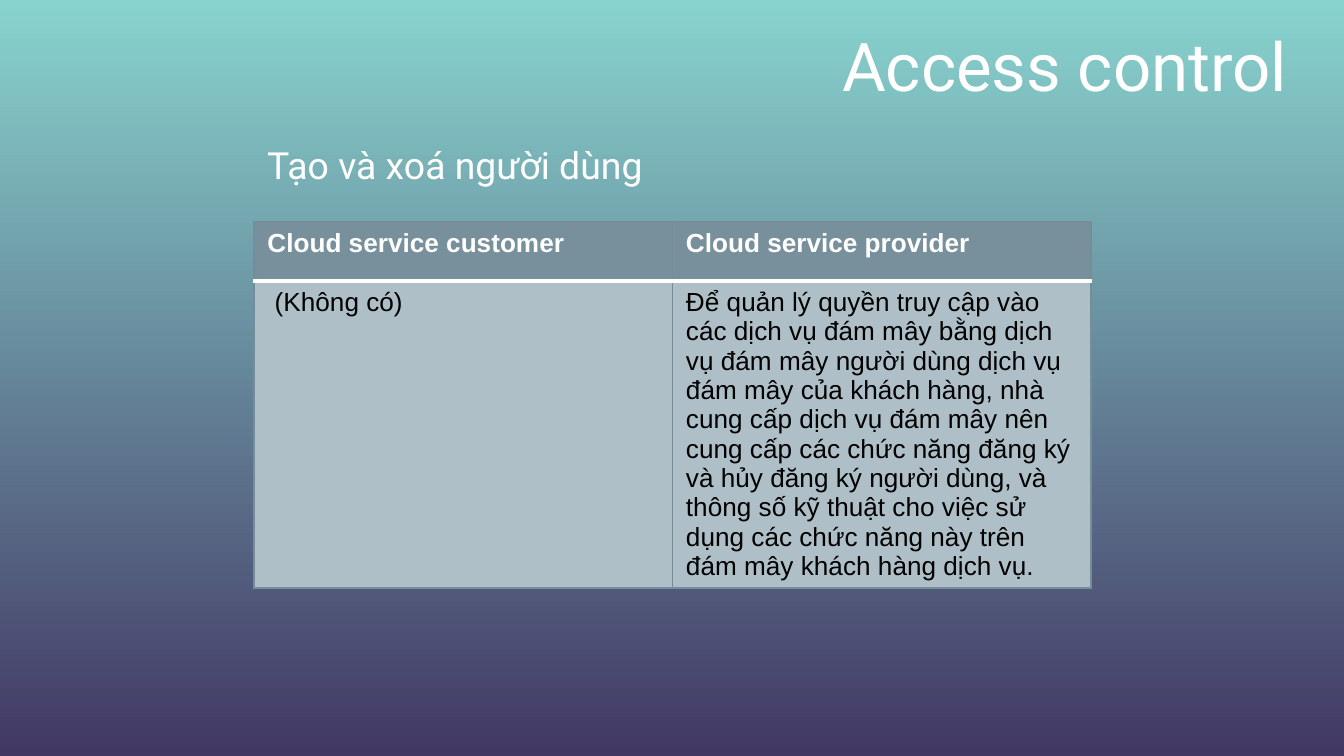
import pptx
import pptx.dml.color
import pptx.enum.text
import pptx.oxml.ns
import pptx.util
from lxml import etree
from pptx.util import Cm

WHITE = "FFFFFF"
BLACK = "000000"
HEADER_FILL = "78909C"
BODY_FILL = "AEBFC7"
GRID_LINE = "748D99"

ROWS = [
    ("Cloud service customer", "Cloud service provider"),
    (
        " (Không có)",
        "Để quản lý quyền truy cập vào các dịch vụ đám mây bằng dịch vụ đám mây "
        "người dùng dịch vụ đám mây của khách hàng, nhà cung cấp dịch vụ đám mây "
        "nên cung cấp các chức năng đăng ký và hủy đăng ký người dùng, và thông số "
        "kỹ thuật cho việc sử dụng các chức năng này trên đám mây khách hàng dịch vụ.",
    ),
]
ROW_HEIGHTS = [Cm(1.12), Cm(5.8)]


def rgb(value):
    return pptx.dml.color.RGBColor.from_string(value)


def add_run(paragraph, text, size, font, color, bold=False):
    run = paragraph.add_run()
    run.text = text
    run.font.size = pptx.util.Pt(size)
    run.font.name = font
    run.font.bold = bold
    run.font.color.rgb = rgb(color)


def set_background(slide, top_color, bottom_color):
    fill = slide.background.fill
    fill.gradient()
    fill.gradient_angle = 270
    for stop, position, color in zip(fill.gradient_stops, (0, 1), (top_color, bottom_color)):
        stop.position = position
        stop.color.rgb = rgb(color)


def set_title(slide, text):
    title = slide.shapes.title
    title.left, title.top, title.width, title.height = Cm(1.85), Cm(0.3), Cm(22.73), Cm(1.85)
    frame = title.text_frame
    frame.auto_size = pptx.enum.text.MSO_AUTO_SIZE.NONE
    frame.vertical_anchor = pptx.enum.text.MSO_ANCHOR.MIDDLE
    frame.margin_left = frame.margin_right = Cm(0.25)
    frame.margin_top = frame.margin_bottom = Cm(0.25)
    paragraph = frame.paragraphs[0]
    paragraph.alignment = pptx.enum.text.PP_ALIGN.RIGHT
    add_run(paragraph, text, 36, "Roboto", WHITE)


def add_subtitle(slide, text):
    box = slide.shapes.add_textbox(Cm(4.8), Cm(2.57), Cm(10.69), Cm(1.12))
    box.text_frame.word_wrap = True
    add_run(box.text_frame.paragraphs[0], text, 20, "Roboto", WHITE)


def add_border(cell, side, color, width):
    """Draw one side of a cell; side is L, R, T or B, width is in points."""
    properties = cell._tc.get_or_add_tcPr()
    line = etree.SubElement(properties, pptx.oxml.ns.qn(f"a:ln{side}"), w=str(pptx.util.Pt(width)))
    fill = etree.SubElement(line, pptx.oxml.ns.qn("a:solidFill"))
    etree.SubElement(fill, pptx.oxml.ns.qn("a:srgbClr"), val=color)


def format_cell(cell, text, is_header):
    add_run(cell.text_frame.paragraphs[0], text, 14, "Arial",
            WHITE if is_header else BLACK, bold=is_header)
    divider = "B" if is_header else "T"
    for side in "LRTB":
        if side == divider:
            add_border(cell, side, WHITE, 2)
        else:
            add_border(cell, side, GRID_LINE, 0.75)
    cell.fill.solid()
    cell.fill.fore_color.rgb = rgb(HEADER_FILL if is_header else BODY_FILL)


def add_responsibility_table(slide):
    frame = slide.shapes.add_table(
        len(ROWS), len(ROWS[0]), Cm(4.8), Cm(4.19), Cm(15.82), sum(ROW_HEIGHTS))
    table = frame.table
    table.horz_banding = False
    for row_index, texts in enumerate(ROWS):
        table.rows[row_index].height = ROW_HEIGHTS[row_index]
        for column_index, text in enumerate(texts):
            format_cell(table.cell(row_index, column_index), text, row_index == 0)


def main():
    presentation = pptx.Presentation()
    presentation.slide_width = Cm(25.4)
    presentation.slide_height = Cm(14.29)
    slide = presentation.slides.add_slide(presentation.slide_layouts[5])
    set_background(slide, "88D3CE", "423864")
    set_title(slide, "Access control")
    add_responsibility_table(slide)
    add_subtitle(slide, "Tạo và xoá người dùng")
    presentation.save("out.pptx")


if __name__ == "__main__":
    main()
